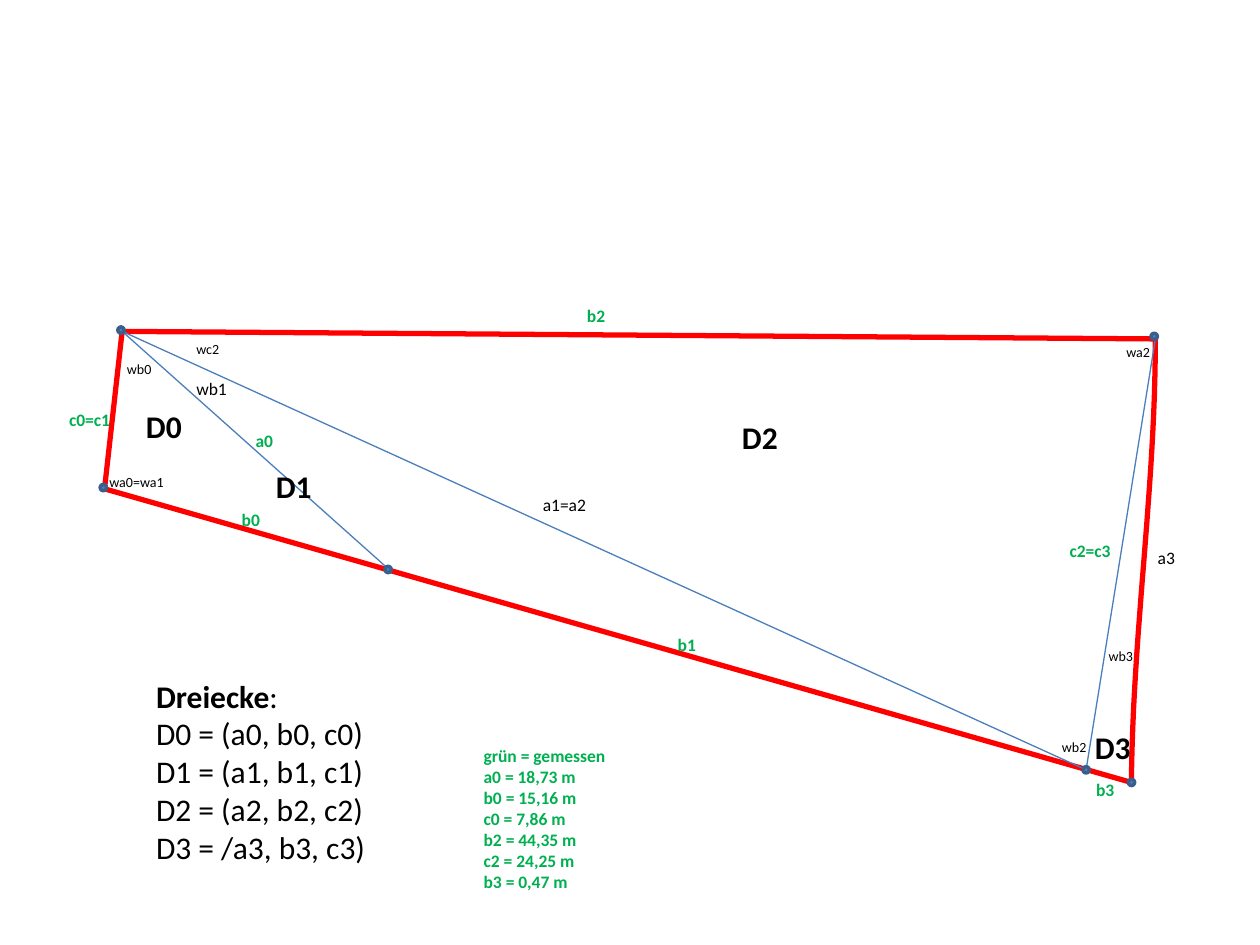
"""Builds a slide that splits a measured plot of land into four triangles."""
from lxml import etree
from pptx import Presentation
from pptx.dml.color import RGBColor
from pptx.enum.shapes import MSO_CONNECTOR, MSO_SHAPE
from pptx.enum.text import MSO_AUTO_SIZE
from pptx.oxml.ns import qn
from pptx.util import Inches, Pt

STRAIGHT = MSO_CONNECTOR.STRAIGHT
OVAL = MSO_SHAPE.OVAL
FIT_TEXT = MSO_AUTO_SIZE.SHAPE_TO_FIT_TEXT
BLACK, GREEN, RED = "000000", "00B050", "FF0000"
DIAGONAL_BLUE, DOT_FILL, DOT_EDGE = "4B7EBC", "4F81BD", "3A5F8C"
DOT_SIZE = 0.05
LABEL_HEIGHTS = {8: 0.24, 10: 0.27, 18: 0.4}


def color(hex_code):
    return RGBColor.from_string(hex_code)


def bezier(start, control1, control2, end, steps=24):
    points = []
    for step in range(1, steps + 1):
        t = step / steps
        weights = ((1 - t) ** 3, 3 * t * (1 - t) ** 2, 3 * t * t * (1 - t), t ** 3)
        corners = list(zip(start, control1, control2, end))
        points.append(tuple(sum(w * v for w, v in zip(weights, axis)) for axis in corners))
    return points


class PlotSketch:
    def __init__(self, slide, font="Calibri"):
        self.shapes = slide.shapes
        self.font = font

    def stroke(self, shape, hex_code, width):
        shape.line.color.rgb = color(hex_code)
        shape.line.width = Pt(width)

    def outline(self, points):
        corners = [(Inches(x), Inches(y)) for x, y in points]
        builder = self.shapes.build_freeform(*corners[0], scale=1.0)
        builder.add_line_segments(corners[1:], close=True)
        border = builder.convert_to_shape()
        border.shadow.inherit = False
        border.fill.background()
        self.stroke(border, RED, 3)

    def diagonal(self, start, end):
        side = self.shapes.add_connector(STRAIGHT, *map(Inches, start + end))
        etree.SubElement(side._element.spPr, qn("a:effectLst"))
        self.stroke(side, DIAGONAL_BLUE, 0.75)

    def dot(self, x, y):
        size = Inches(DOT_SIZE)
        corner = self.shapes.add_shape(
            OVAL, Inches(x) - size // 2, Inches(y) - size // 2, size, size)
        corner.shadow.inherit = False
        corner.fill.solid()
        corner.fill.fore_color.rgb = color(DOT_FILL)
        self.stroke(corner, DOT_EDGE, 2)

    def text(self, lines, x, y, width, height, size, hex_code=BLACK, bold=False, wrap=False):
        box = self.shapes.add_textbox(*map(Inches, (x, y, width, height)))
        frame = box.text_frame
        frame.word_wrap = wrap
        frame.auto_size = FIT_TEXT
        frame.text = "\n".join(lines)
        for paragraph in frame.paragraphs:
            paragraph.font.name = self.font
            paragraph.font.size = Pt(size)
            paragraph.font.bold = bold
            paragraph.font.color.rgb = color(hex_code)
        return frame

    def label(self, name, x, y, width, size, **style):
        self.text([name], x, y, width, LABEL_HEIGHTS[size], size, **style)


def main():
    presentation = Presentation()
    presentation.slide_width, presentation.slide_height = Inches(10), Inches(7.5)
    sketch = PlotSketch(presentation.slides.add_slide(presentation.slide_layouts[6]))

    top_left, top_right = (0.97, 2.63), (9.17, 2.69)
    bottom_right, bottom_left = (8.98, 6.21), (0.83, 3.88)
    right_foot, left_foot = (8.62, 6.11), (3.11, 4.54)
    right_edge = bezier(top_right, (9.17, 3.88), (8.99, 5.02), bottom_right)
    sketch.outline([top_left, top_right, *right_edge, bottom_left])
    for start, end in ((top_left, right_foot), (top_left, left_foot), (top_right, right_foot)):
        sketch.diagonal(start, end)

    for center in ((8.62, 6.11), (8.98, 6.21), (0.82, 3.87),
                   (0.96, 2.62), (9.16, 2.67), (3.08, 4.52)):
        sketch.dot(*center)

    for angle, x, y, width, size in (
            ("wa0=wa1", 0.77, 3.71, 0.64, 8), ("wb0", 0.91, 2.81, 0.4, 8),
            ("wb1", 1.46, 2.95, 0.45, 10), ("wc2", 1.46, 2.65, 0.39, 8),
            ("wa2", 8.84, 2.68, 0.39, 8), ("wb2", 8.33, 5.81, 0.4, 8),
            ("wb3", 8.7, 5.09, 0.4, 8)):
        sketch.label(angle, x, y, width, size)

    for side, x, y, width in (("a1=a2", 4.21, 3.87, 0.55), ("a3", 9.09, 4.29, 0.34)):
        sketch.label(side, x, y, width, 10)

    for measured_side, x, y, width in (
            ("c0=c1", 0.45, 3.2, 0.54), ("b2", 4.56, 2.37, 0.35),
            ("c2=c3", 8.39, 4.24, 0.54), ("b3", 8.6, 6.13, 0.35),
            ("a0", 1.93, 3.36, 0.34), ("b0", 1.82, 3.99, 0.35), ("b1", 5.28, 4.98, 0.35)):
        sketch.label(measured_side, x, y, width, 10, hex_code=GREEN, bold=True)

    for triangle, x, y in (("D0", 1.06, 3.18), ("D1", 2.09, 3.66),
                           ("D2", 5.79, 3.27), ("D3", 8.59, 5.73)):
        sketch.label(triangle, x, y, 0.55, 18, bold=True, wrap=True)

    triangles = sketch.text(
        ["Dreiecke", "D0 = (a0, b0, c0)", "D1 = (a1, b1, c1)",
         "D2 = (a2, b2, c2)", "D3 = /a3, b3, c3)"], 1.14, 5.32, 1.87, 1.92, 18)
    heading = triangles.paragraphs[0]
    heading.runs[0].font.bold = True
    heading.add_run().text = ":"

    sketch.text(
        ["grün = gemessen", "a0 = 18,73 m", "b0 = 15,16 m", "c0 = 7,86 m",
         "b2 = 44,35 m", "c2 = 24,25 m", "b3 = 0,47 m"],
        3.74, 5.86, 1.18, 1.28, 10, hex_code=GREEN, bold=True)

    presentation.save("out.pptx")


if __name__ == "__main__":
    main()
